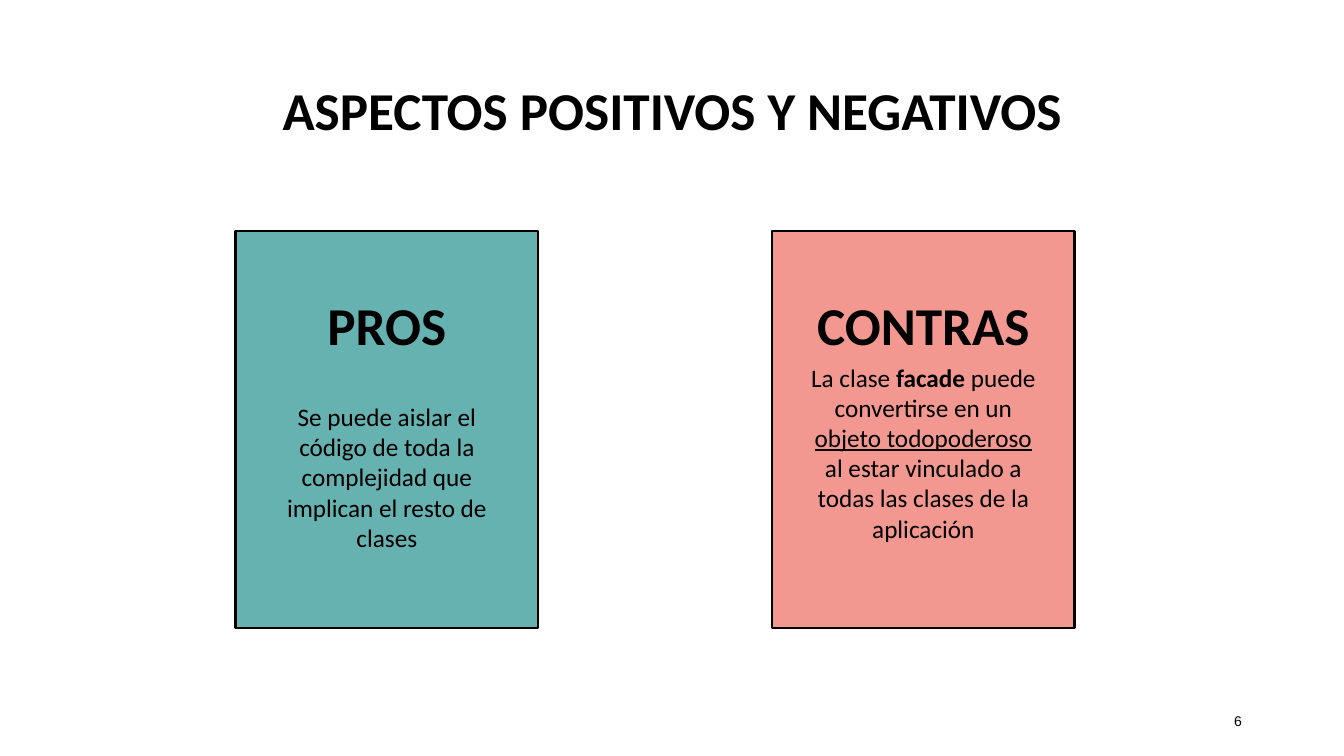
from lxml import etree
from pptx import Presentation
from pptx.dml.color import RGBColor
from pptx.enum.text import MSO_ANCHOR, MSO_AUTO_SIZE, PP_ALIGN
from pptx.oxml.ns import qn
from pptx.util import Cm, Pt

CENTER, RIGHT = PP_ALIGN.CENTER, PP_ALIGN.RIGHT
TOP, MIDDLE = MSO_ANCHOR.TOP, MSO_ANCHOR.MIDDLE
NO_AUTOFIT = MSO_AUTO_SIZE.NONE
BLACK = "000000"
PANEL_TOP, PANEL_WIDTH, PANEL_HEIGHT = 5.82, 7.62, 10.01
DETAIL_INDENT = 0.64


def color(value):
    return RGBColor.from_string(value)


def place_text(shape, box, runs, size, font="Calibri", align=CENTER, anchor=TOP, spacing=1.0):
    shape.left, shape.top, shape.width, shape.height = [Cm(length) for length in box]
    frame = shape.text_frame
    frame.word_wrap = True
    frame.auto_size = NO_AUTOFIT
    frame.vertical_anchor = anchor
    paragraph = frame.paragraphs[0]
    paragraph.alignment = align
    paragraph.line_spacing = spacing
    paragraph.space_before = Pt(0)
    properties = paragraph._p.get_or_add_pPr()
    properties.set("marL", "0")
    properties.set("indent", "0")
    etree.SubElement(properties, qn("a:buNone"))
    for text, style in runs:
        run = paragraph.add_run()
        run.text = text
        run.font.name = font
        run.font.size = Pt(size)
        run.font.color.rgb = color(BLACK)
        run.font.bold = style == "bold"
        run.font.underline = style == "underline"


presentation = Presentation()
presentation.slide_width = Cm(33.87)
presentation.slide_height = Cm(19.05)
slide = presentation.slides.add_slide(presentation.slide_layouts[4])
title, pros, pros_detail, contras, contras_detail = slide.placeholders

place_text(title, (2.34, 1.02, 29.21, 3.68), [("ASPECTOS POSITIVOS Y NEGATIVOS", "bold")],
           38, anchor=MIDDLE, spacing=0.9)

pros_runs = [("Se puede aislar el código de toda la complejidad que implican el resto de clases", "plain")]
contras_runs = [
    ("La clase ", "plain"),
    ("facade ", "bold"),
    ("puede convertirse en un ", "plain"),
    ("objeto todopoderoso", "underline"),
    (" al estar vinculado a todas las clases de la aplicación", "plain"),
]
panels = [
    (pros, "PROS", 5.94, "66B2B0", (0.25, 0.13), pros_detail, pros_runs, 9.98, 4.11),
    (contras, "CONTRAS", 19.46, "F39891", (0, 0), contras_detail, contras_runs, 8.99, 5.56),
]
for panel, heading, left, fill, insets, detail, detail_runs, detail_top, detail_height in panels:
    place_text(panel, (left, PANEL_TOP, PANEL_WIDTH, PANEL_HEIGHT), [(heading, "bold")], 38, spacing=0.9)
    panel.fill.solid()
    panel.fill.fore_color.rgb = color(fill)
    panel.line.color.rgb = color(BLACK)
    panel.line.width = Pt(1.75)
    side_inset, bottom_inset = insets
    panel.text_frame.margin_left = panel.text_frame.margin_right = Cm(side_inset)
    panel.text_frame.margin_top = Cm(1.73)
    panel.text_frame.margin_bottom = Cm(bottom_inset)
    detail_box = (left + DETAIL_INDENT, detail_top, PANEL_WIDTH - 2 * DETAIL_INDENT, detail_height)
    place_text(detail, detail_box, detail_runs, 18)

page_number = slide.shapes.add_textbox(0, 0, 0, 0)
place_text(page_number, (23.93, 17.65, 7.62, 1.02), [("6", "plain")], 10,
           font="Arial", align=RIGHT, anchor=MIDDLE)

presentation.save("out.pptx")
